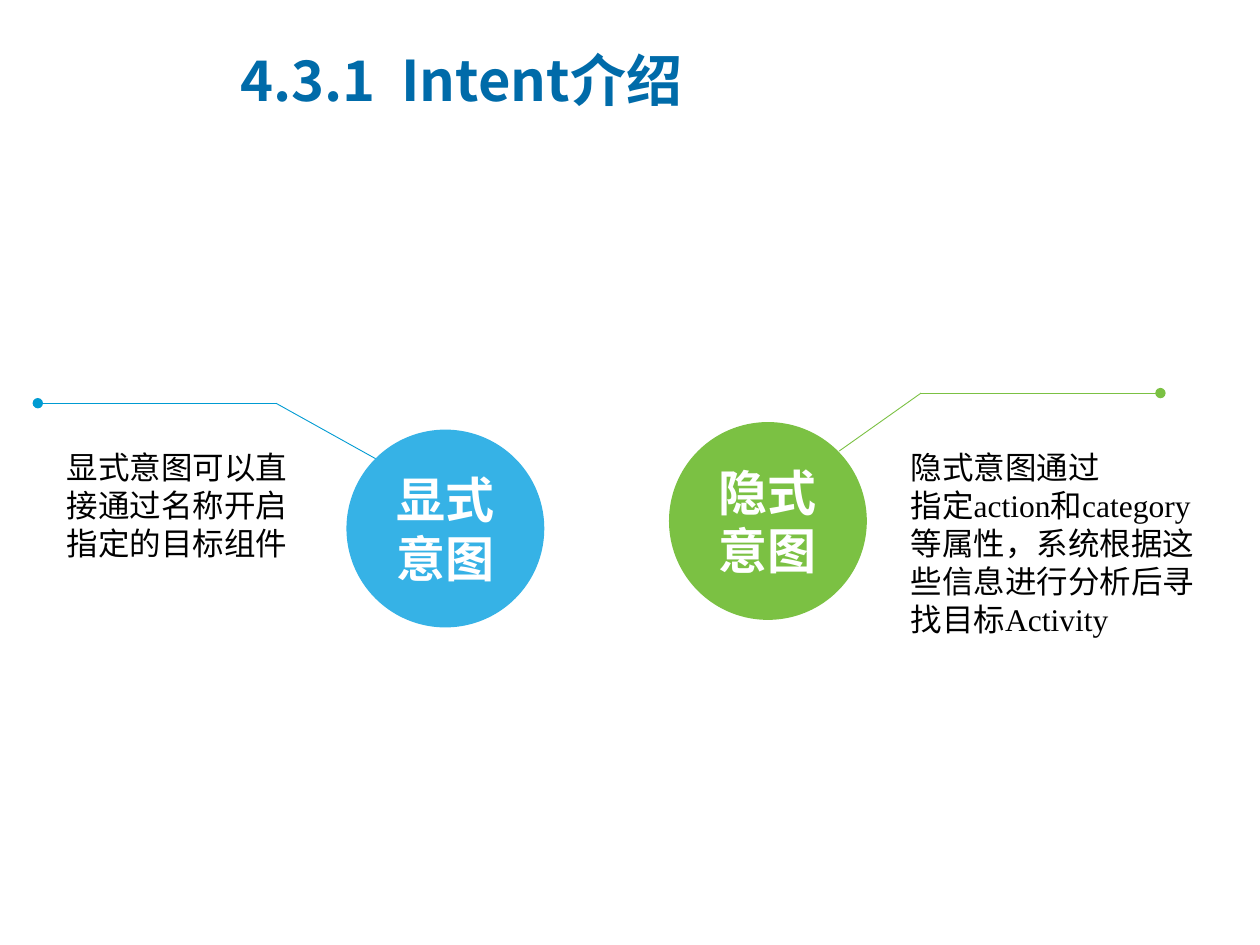
import pptx
import pptx.util
import pptx.dml.color
import pptx.enum.shapes
import pptx.enum.text
import pptx.oxml
import pptx.oxml.ns
from pptx.util import Inches

COLORS = {"title": "006BA9", "blue": "36B2E6", "blue_line": "009BD2",
          "green": "7BC143", "white": "FFFFFF", "black": "000000"}
HEADING_FONT, BODY_FONT, LATIN_FONT = "Noto Sans CJK SC", "Calibri", "Times New Roman"
DIAMETER = 1.57

# Content: each paragraph is a list of (text, font) runs
TITLE = [[("4.3.1  Intent介绍", HEADING_FONT)]]
INTENTS = [
    {"label": ["显式", "意图"], "circle": (2.75, 3.41), "fill": "blue", "line": "blue_line",
     "bend": (2.19, 3.2), "dot": (0.3, 3.2), "touch": (2.98, 3.64),
     "note_box": (0.43, 3.51, 1.97, 1.01),
     "note": [[("显式意图可以直接通过名称开启指定的目标组件", BODY_FONT)]]},
    {"label": ["隐式", "意图"], "circle": (5.31, 3.35), "fill": "green", "line": "green",
     "bend": (7.31, 3.12), "dot": (9.21, 3.12), "touch": (6.66, 3.58),
     "note_box": (7.13, 3.51, 2.47, 1.62),
     "note": [[("隐式意图通过", BODY_FONT)],
              [("指定", BODY_FONT),
               ("action和category等属性，系统根据这些信息进行分析后寻找目标Activity", LATIN_FONT)]]},
]


def rgb(name):
    return pptx.dml.color.RGBColor.from_string(COLORS[name])


def write(frame, paragraphs, size, color, bold=False, align="LEFT", anchor="TOP",
          east_asian=BODY_FONT):
    frame.word_wrap = True
    frame.vertical_anchor = getattr(pptx.enum.text.MSO_ANCHOR, anchor)
    for index, runs in enumerate(paragraphs):
        paragraph = frame.add_paragraph() if index else frame.paragraphs[0]
        paragraph.alignment = getattr(pptx.enum.text.PP_ALIGN, align)
        for text, font in runs:
            run = paragraph.add_run()
            run.text = text
            run.font.name = font
            run.font.size = pptx.util.Pt(size)
            run.font.bold = bold
            run.font.color.rgb = rgb(color)
            # East Asian typeface sits right after the Latin one
            ea = pptx.oxml.parse_xml(
                f'<a:ea {pptx.oxml.ns.nsdecls("a")} typeface="{east_asian}"/>')
            run.font._element.find(pptx.oxml.ns.qn("a:latin")).addnext(ea)


def add_line(slide, start, end, color, dot=False):
    line = slide.shapes.add_connector(pptx.enum.shapes.MSO_CONNECTOR.STRAIGHT,
                                      *map(Inches, start + end))
    line.line.color.rgb = rgb(color)
    line.line.width = pptx.util.Pt(0.5)
    namespace = pptx.oxml.ns.nsdecls("a")
    if dot:
        line.line._get_or_add_ln().append(
            pptx.oxml.parse_xml(f'<a:tailEnd {namespace} type="oval"/>'))
    line._element.spPr.append(pptx.oxml.parse_xml(f"<a:effectLst {namespace}/>"))


def main():
    deck = pptx.Presentation()
    deck.slide_width, deck.slide_height = Inches(10), Inches(7.5)
    slide = deck.slides.add_slide(deck.slide_layouts[6])

    # Title
    title = slide.shapes.add_textbox(*map(Inches, (1.81, 0.21, 5.63, 0.84)))
    write(title.text_frame, TITLE, size=32, color="title", bold=True, anchor="MIDDLE",
          east_asian=HEADING_FONT)

    for intent in INTENTS:
        # Circle with its label
        circle = slide.shapes.add_shape(
            pptx.enum.shapes.MSO_SHAPE.FLOWCHART_CONNECTOR,
            *map(Inches, intent["circle"] + (DIAMETER, DIAMETER)))
        circle.shadow.inherit = False
        circle.fill.solid()
        circle.fill.fore_color.rgb = rgb(intent["fill"])
        circle.line.fill.background()
        write(circle.text_frame, [[(part, BODY_FONT)] for part in intent["label"]],
              size=28, color="white", bold=True, align="CENTER", anchor="MIDDLE")

        # Leader line, dotted at its outer end
        add_line(slide, intent["bend"], intent["dot"], intent["line"], dot=True)
        add_line(slide, intent["bend"], intent["touch"], intent["line"])

        # Explanation
        note = slide.shapes.add_textbox(*map(Inches, intent["note_box"]))
        write(note.text_frame, intent["note"], size=18, color="black")

    deck.save("out.pptx")


if __name__ == "__main__":
    main()
